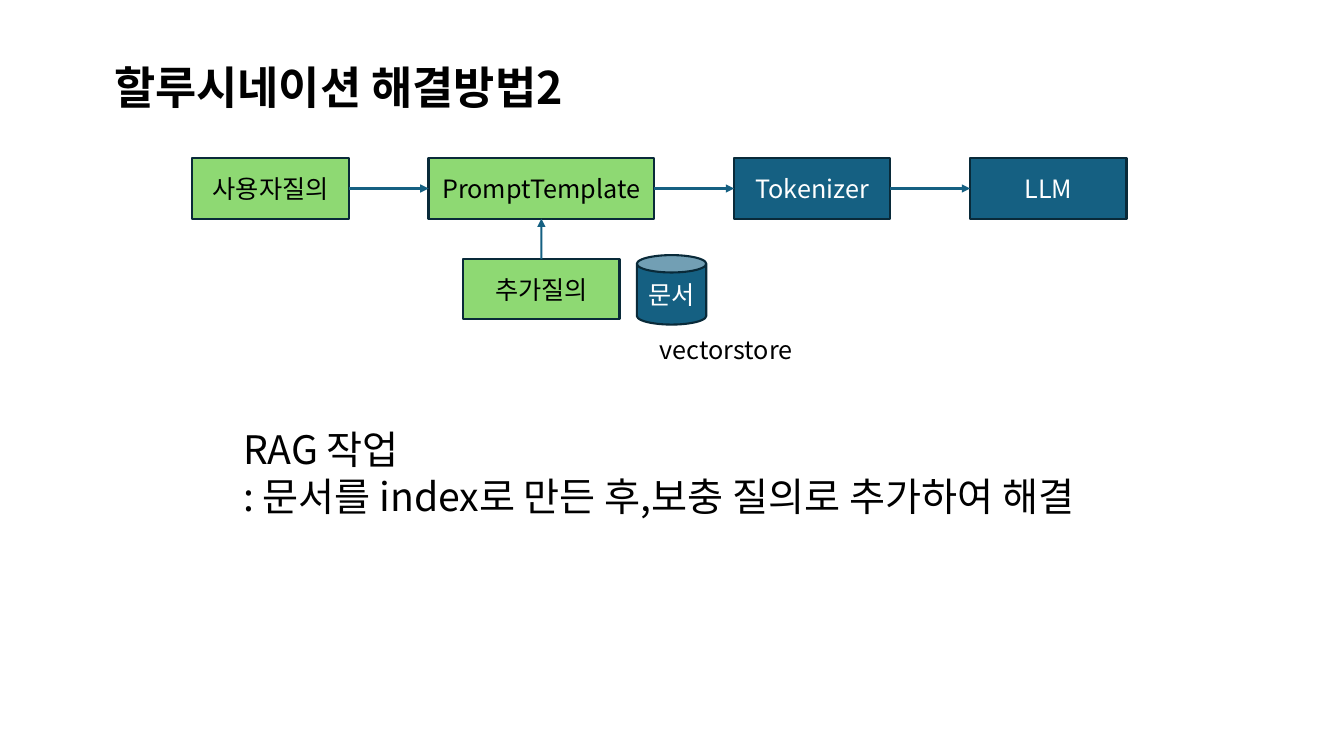
from dataclasses import dataclass

from lxml import etree
from pptx import Presentation
from pptx.dml.color import RGBColor
from pptx.enum.shapes import MSO_CONNECTOR, MSO_SHAPE
from pptx.enum.text import MSO_ANCHOR, MSO_AUTO_SIZE, PP_ALIGN
from pptx.oxml.ns import qn
from pptx.shapes.autoshape import Shape
from pptx.slide import Slide
from pptx.text.text import TextFrame
from pptx.util import Cm, Pt

RECT, CAN = MSO_SHAPE.RECTANGLE, MSO_SHAPE.CAN
STRAIGHT = MSO_CONNECTOR.STRAIGHT
TOP, MIDDLE = MSO_ANCHOR.TOP, MSO_ANCHOR.MIDDLE
LEFT, CENTER = PP_ALIGN.LEFT, PP_ALIGN.CENTER
FIXED = MSO_AUTO_SIZE.NONE

BLUE = RGBColor(0x15, 0x60, 0x82)
GREEN = RGBColor(0x8E, 0xD9, 0x73)
NAVY = RGBColor(0x09, 0x2A, 0x39)
BLACK = RGBColor(0, 0, 0)
WHITE = RGBColor(255, 255, 255)
FONT = "Noto Sans CJK KR"

WIDE, SLIM, HIGH, GAP = 5.69, 3.94, 1.52, 2.01
ROW_X, ROW_Y = 4.85, 3.99
SITE_TOP, SITE_LEFT, SITE_RIGHT = 0, 1, 3
SITE_BOTTOM = 2


@dataclass(frozen=True)
class Node:
    text: str
    fill: RGBColor
    ink: RGBColor
    width: float = SLIM
    high: float = HIGH
    kind: MSO_SHAPE = RECT


STEPS = [
    Node("사용자질의", GREEN, BLACK),
    Node("PromptTemplate", GREEN, BLACK, WIDE),
    Node("Tokenizer", BLUE, WHITE),
    Node("LLM", BLUE, WHITE),
]
EXTRA = Node("추가질의", GREEN, BLACK)
STORE = Node("문서", BLUE, WHITE, 1.75, 1.75, CAN)


def style(frame: TextFrame, size: int, ink: RGBColor, align: PP_ALIGN,
          bold: bool = False) -> None:
    for para in frame.paragraphs:
        para.alignment = align
        para.space_before = Pt(0)
        for run in para.runs:
            font = run.font
            font.name, font.size, font.bold = FONT, Pt(size), bold
            font.color.rgb = ink
            asian = etree.SubElement(run._r.get_or_add_rPr(), qn("a:ea"))
            asian.set("typeface", FONT)


def place(shape: Shape, x: float, y: float, width: float, high: float) -> None:
    shape.left, shape.top = Cm(x), Cm(y)
    shape.width, shape.height = Cm(width), Cm(high)


def write(shape: Shape, text: str, size: int, wrap: bool = True,
          bold: bool = False) -> None:
    frame = shape.text_frame
    frame.text = text
    frame.word_wrap = wrap
    frame.auto_size = FIXED
    frame.vertical_anchor = TOP
    style(frame, size, BLACK, LEFT, bold)


def draw(slide: Slide, node: Node, x: float, y: float) -> Shape:
    shape = slide.shapes.add_shape(
        node.kind, Cm(x), Cm(y), Cm(node.width), Cm(node.high))
    shape.shadow.inherit = False
    shape.fill.solid()
    shape.fill.fore_color.rgb = node.fill
    shape.line.color.rgb = NAVY
    shape.line.width = Pt(1.5)
    shape.text_frame.text = node.text
    shape.text_frame.vertical_anchor = MIDDLE
    style(shape.text_frame, 18, node.ink, CENTER)
    return shape


def link(slide: Slide, start: Shape, out: int, end: Shape, into: int) -> None:
    arrow = slide.shapes.add_connector(STRAIGHT, 0, 0, 0, 0)
    arrow.begin_connect(start, out)
    arrow.end_connect(end, into)
    arrow.line.color.rgb = BLUE
    arrow.line.width = Pt(1.5)
    tip = etree.SubElement(arrow.line._get_or_add_ln(), qn("a:tailEnd"))
    tip.set("type", "triangle")
    etree.SubElement(arrow._element.spPr, qn("a:effectLst"))


def main() -> None:
    deck = Presentation()
    deck.slide_width, deck.slide_height = Cm(33.87), Cm(19.05)
    slide = deck.slides.add_slide(deck.slide_layouts[1])

    title, body = slide.placeholders
    place(title, 2.62, 1.37, 12.98, 1.63)
    write(title, "할루시네이션 해결방법2", 32, wrap=False, bold=True)

    place(body, 5.87, 10.59, 24.97, 2.64)
    write(body, "RAG 작업\n: 문서를 index로 만든 후,보충 질의로 추가하여 해결", 28)
    for para in body.text_frame.paragraphs:
        props = para._p.get_or_add_pPr()
        props.set("marL", "0")
        props.set("indent", "0")
        etree.SubElement(props, qn("a:buNone"))

    boxes: list[Shape] = []
    x = ROW_X
    for step in STEPS:
        boxes.append(draw(slide, step, x, ROW_Y))
        x += step.width + GAP
    for start, end in zip(boxes, boxes[1:]):
        link(slide, start, SITE_RIGHT, end, SITE_LEFT)

    mid = ROW_X + SLIM + GAP + WIDE / 2
    extra = draw(slide, EXTRA, mid - SLIM / 2, 6.53)
    link(slide, extra, SITE_TOP, boxes[1], SITE_BOTTOM)

    draw(slide, STORE, 16.05, 6.43)
    label = slide.shapes.add_textbox(Cm(16.38), Cm(8.31), Cm(SLIM), Cm(1.03))
    write(label, "vectorstore", 18)

    deck.save("out.pptx")


if __name__ == "__main__":
    main()
